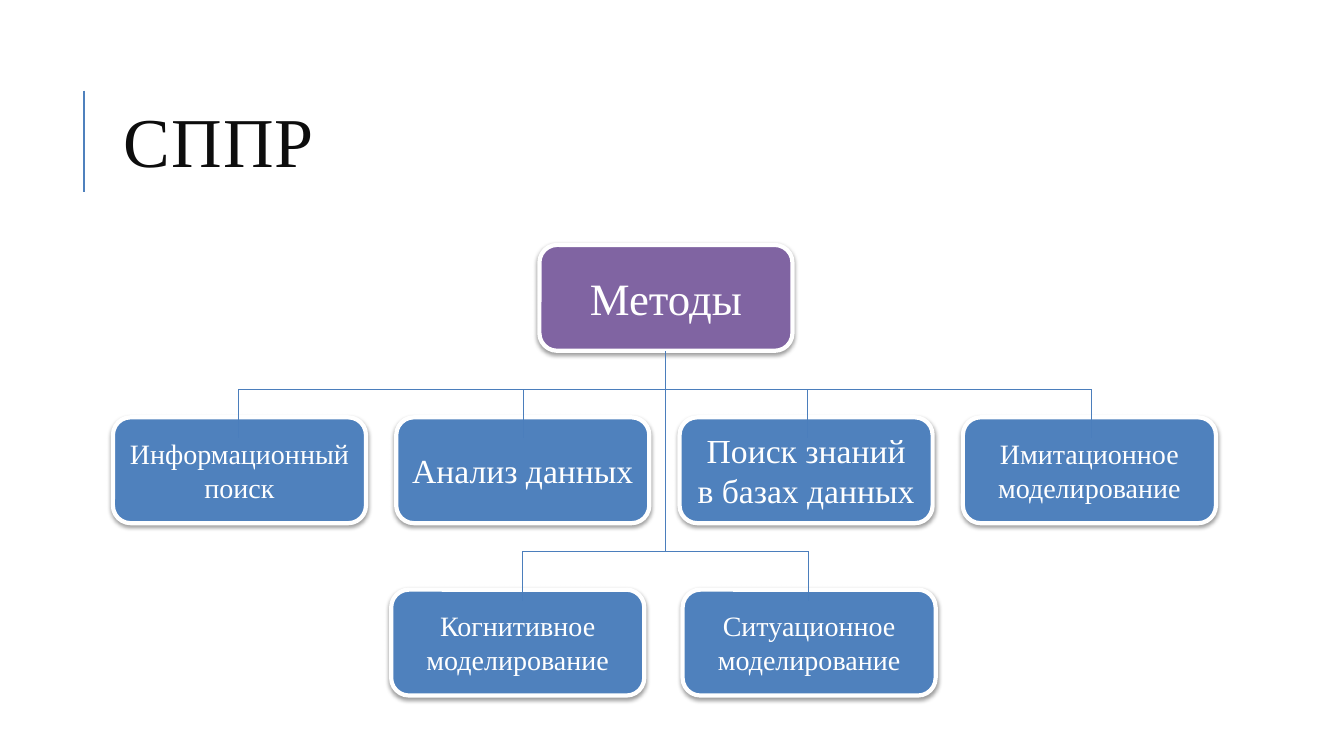
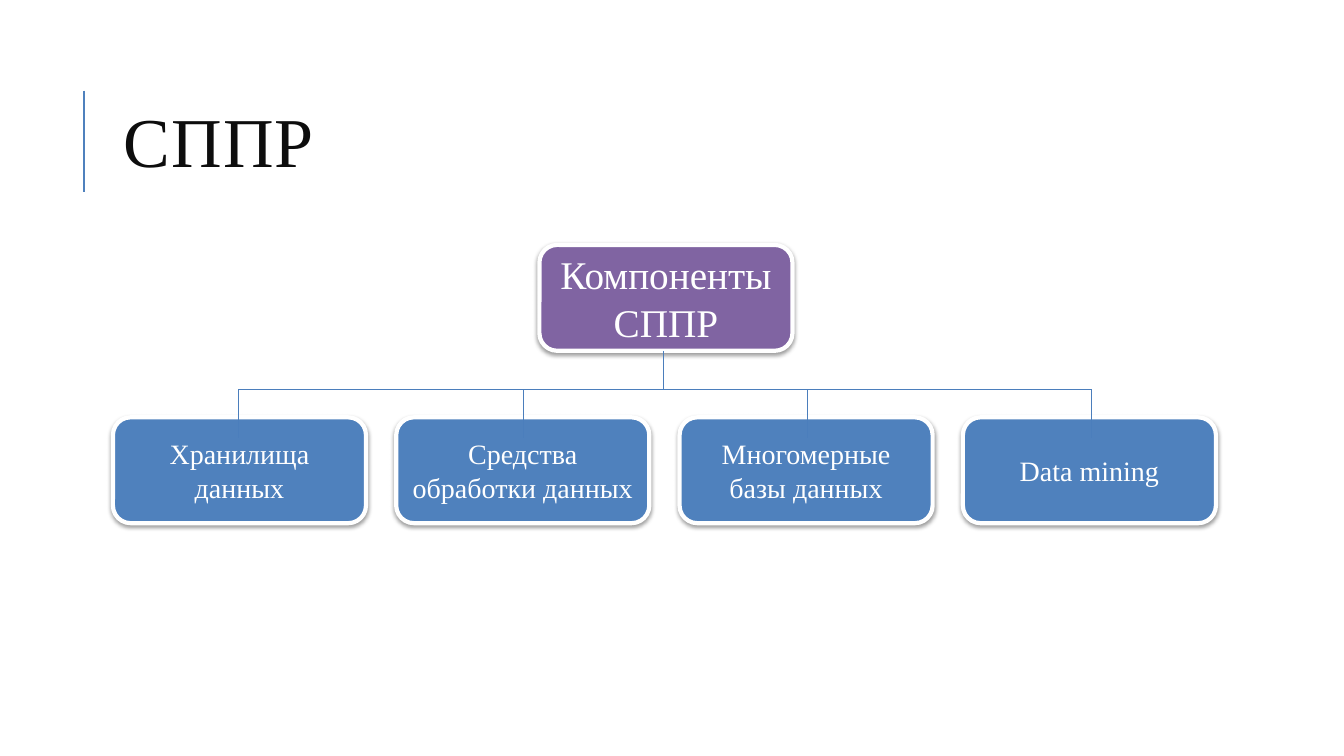
import pptx
import pptx.util
import pptx.dml.color
import pptx.enum.shapes
import pptx.enum.text
import pptx.oxml
import pptx.oxml.ns
from lxml import etree

Inches = pptx.util.Inches
Pt = pptx.util.Pt

COLORS = {
    "accent": "4F81BD",
    "root": "8064A2",
    "branch": "4B7EBC",
    "title": "0D0D0D",
    "white": "FFFFFF",
    "shadow": "000000",
}
FONT = "Times New Roman"
BOX_WIDTH, BOX_HEIGHT = 2.51, 1.05
ROOT_LEFT, ROOT_TOP = 5.35, 2.43
DROP = 0.49

UPPER_ROW = {"left": 1.12, "top": 4.14, "pitch": 2.81,
             "rail": 3.86, "first_drop": 2.37, "drop_pitch": 2.82}
LOWER_ROW = {"left": 3.88, "top": 5.85, "pitch": 2.89,
             "rail": 5.47, "first_drop": 5.18, "drop_pitch": 2.84}

TITLE_FRAME = {
    "left": Inches(1.12), "top": Inches(0.64),
    "width": Inches(10.63), "height": Inches(1.64),
}
TEXT_FORMAT = {
    "word_wrap": True,
    "auto_size": pptx.enum.text.MSO_AUTO_SIZE.NONE,
    "vertical_anchor": pptx.enum.text.MSO_ANCHOR.MIDDLE,
    "margin_left": Inches(0.1), "margin_right": Inches(0.1),
    "margin_top": Inches(0.05), "margin_bottom": Inches(0.05),
}
TITLE_PARAGRAPH = {"alignment": pptx.enum.text.PP_ALIGN.LEFT, "line_spacing": 0.8}
LABEL_PARAGRAPH = {"alignment": pptx.enum.text.PP_ALIGN.CENTER}

SLIDES = [
    {
        "title": "СППР",
        "root": ("Методы", 32),
        "trunk": (6.6, 5.47),
        "rows": [
            (UPPER_ROW, [("Информационный поиск", 20), ("Анализ данных", 24),
                         ("Поиск знаний в базах данных", 24),
                         ("Имитационное моделирование", 20)]),
            (LOWER_ROW, [("Когнитивное моделирование", 20),
                         ("Ситуационное моделирование", 20)]),
        ],
    },
    {
        "title": "СППР",
        "root": ("Компоненты СППР", 28),
        "trunk": (6.58, 3.86),
        "rows": [
            (UPPER_ROW, [("Хранилища данных", 20),
                         ("Средства обработки данных", 20),
                         ("Многомерные базы данных", 20),
                         ("Data mining", 20)]),
        ],
    },
]


def color(name):
    return pptx.dml.color.RGBColor.from_string(COLORS[name])


def apply(target, settings):
    for attribute, value in settings.items():
        setattr(target, attribute, value)


def write(frame, text, size, ink, paragraph_format):
    apply(frame, TEXT_FORMAT)
    paragraph = frame.paragraphs[0]
    apply(paragraph, paragraph_format)
    run = paragraph.add_run()
    run.text = text
    apply(run.font, {"name": FONT, "size": Pt(size), "bold": False})
    run.font.color.rgb = color(ink)
    return run


def add_line(slide, start, end, ink="branch", weight=0.75):
    line = slide.shapes.add_connector(
        pptx.enum.shapes.MSO_CONNECTOR.STRAIGHT,
        *(Inches(value) for value in (*start, *end)))
    line.line.color.rgb = color(ink)
    line.line.width = Pt(weight)
    etree.SubElement(line._element.spPr, pptx.oxml.ns.qn("a:effectLst"))


def add_title(slide, text):
    title = slide.shapes.title
    apply(title, TITLE_FRAME)
    run = write(title.text_frame, text, 50, "title", TITLE_PARAGRAPH)
    run.font._element.set("spc", "100")
    add_line(slide, (0.83, 0.9), (0.83, 1.9), "accent", 1.5)


def add_shadow(box):
    box._element.spPr.append(pptx.oxml.parse_xml(
        f'<a:effectLst {pptx.oxml.ns.nsdecls("a")}>'
        f'<a:outerShdw blurRad="{Pt(3.1)}" dist="{Pt(1.6)}" dir="5400000" rotWithShape="0">'
        f'<a:srgbClr val="{COLORS["shadow"]}"><a:alpha val="38000"/></a:srgbClr>'
        '</a:outerShdw></a:effectLst>'))


def add_box(slide, left, top, label, fill):
    box = slide.shapes.add_shape(
        pptx.enum.shapes.MSO_SHAPE.ROUNDED_RECTANGLE,
        *(Inches(value) for value in (left, top, BOX_WIDTH, BOX_HEIGHT)))
    box.fill.solid()
    box.fill.fore_color.rgb = color(fill)
    box.line.color.rgb = color("white")
    box.line.width = Pt(3)
    add_shadow(box)
    text, size = label
    write(box.text_frame, text, size, "white", LABEL_PARAGRAPH)


def add_row(slide, row, labels):
    for index, label in enumerate(labels):
        add_box(slide, row["left"] + index * row["pitch"], row["top"], label, "accent")
    drops = [row["first_drop"] + index * row["drop_pitch"] for index in range(len(labels))]
    rail = row["rail"]
    add_line(slide, (drops[0], rail), (drops[-1], rail))
    for x in drops:
        add_line(slide, (x, rail), (x, rail + DROP))


def add_hierarchy(slide, content):
    add_box(slide, ROOT_LEFT, ROOT_TOP, content["root"], "root")
    for row, labels in content["rows"]:
        add_row(slide, row, labels)
    x, bottom = content["trunk"]
    add_line(slide, (x, ROOT_TOP + BOX_HEIGHT), (x, bottom))


def main():
    presentation = pptx.Presentation()
    apply(presentation, {"slide_width": Inches(13.33), "slide_height": Inches(7.5)})
    title_only = presentation.slide_layouts[5]
    for content in SLIDES:
        slide = presentation.slides.add_slide(title_only)
        add_title(slide, content["title"])
        add_hierarchy(slide, content)
    presentation.save("out.pptx")


if __name__ == "__main__":
    main()
